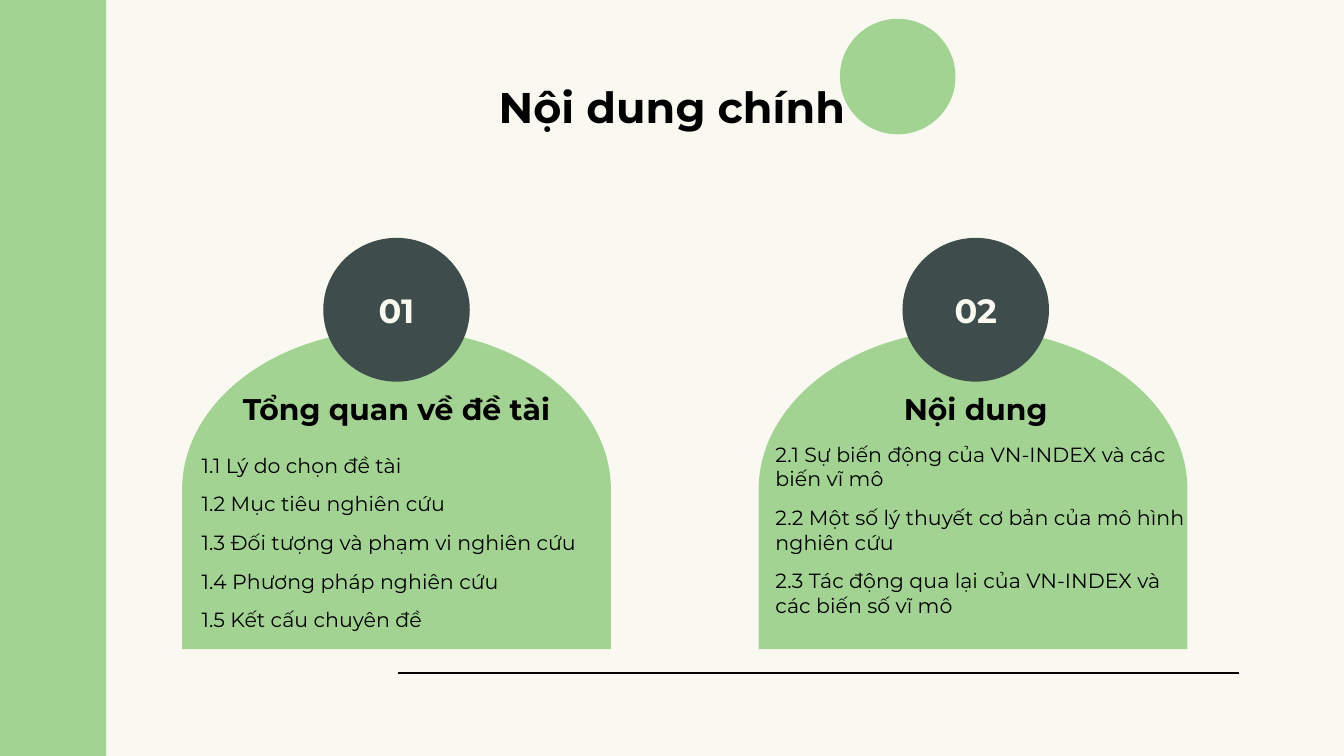
from lxml import etree
from pptx import Presentation, util as u
from pptx.dml.color import RGBColor
from pptx.enum import shapes, text
from pptx.oxml.ns import qn

# Content; list boxes are left, top, width, height
TITLE = "Nội dung chính"
CARDS = [
    {"num": "01", "head": "Tổng quan về đề tài", "box": (1.4, 3.45, 3.19, 1.17),
     "list": ["1.1 Lý do chọn đề tài", "1.2 Mục tiêu nghiên cứu",
              "1.3 Đối tượng và phạm vi nghiên cứu",
              "1.4 Phương pháp nghiên cứu", "1.5 Kết cấu chuyên đề"]},
    {"num": "02", "head": "Nội dung", "box": (5.67, 3.33, 3.28, 1.22),
     "list": ["2.1 Sự biến động của VN-INDEX và các biến vĩ mô",
              "2.2 Một số lý thuyết cơ bản của mô hình nghiên cứu",
              "2.3 Tác động qua lại của VN-INDEX và các biến số vĩ mô"]},
]
HEX = {"paper": "F9F9F1", "green": "A3D392", "slate": "3E4C4C", "ink": "000000"}
FONT = "Montserrat"
W = 10
H = W * 9 / 16
BAR = 0.79
MID = 2.95                       # centre of the first card
ARCH, LABEL = 4.29, 4.31         # steps from card to card
WIDE, TALL, BASE = 3.19, 2.38, 4.83
DISC = (1.09, 1.07)
KIND = shapes.MSO_SHAPE


def color(name):
    return RGBColor.from_string(HEX[name])


def place(item, box):
    item.left, item.top, item.width, item.height = map(u.Inches, box)


def write(item, lines, size, ink="ink", bold=False, align="CENTER", gap=0, lead=0.9):
    frame = item.text_frame
    frame.word_wrap = True
    frame.auto_size = text.MSO_AUTO_SIZE.NONE
    frame.vertical_anchor = text.MSO_ANCHOR.MIDDLE
    frame.margin_left = frame.margin_right = u.Inches(0.1)
    frame.margin_top = frame.margin_bottom = u.Inches(0.1)
    frame.text = "\n".join(lines)
    for para in frame.paragraphs:
        para.alignment = getattr(text.PP_ALIGN, align)
        para.line_spacing = lead
        para.space_before = u.Pt(gap)
        props = para._p.get_or_add_pPr()
        props.set("marL", "0")
        props.set("indent", "0")
        etree.SubElement(props, qn("a:buNone"))
        for run in para.runs:
            font = run.font
            font.name, font.size, font.bold = FONT, u.Pt(size), bold
            font.color.rgb = color(ink)


def shape(kind, box, fill, turn=0):
    item = slide.shapes.add_shape(kind, *map(u.Inches, box))
    item.shadow.inherit = False
    item.fill.solid()
    item.fill.fore_color.rgb = color(fill)
    item.line.fill.background()
    item.rotation = turn
    return item


deck = Presentation()
deck.slide_width, deck.slide_height = u.Inches(W), u.Inches(H)
slide = deck.slides.add_slide(deck.slide_layouts.get_by_name("Comparison"))
slide.background.fill.solid()
slide.background.fill.fore_color.rgb = color("paper")
title, *bodies = slide.placeholders
held = [title, *bodies]

# Side bar, base line and accent disc
shape(KIND.RECTANGLE, (0, 0, BAR, H), "green")
rule = slide.shapes.add_connector(shapes.MSO_CONNECTOR.STRAIGHT,
                                  *map(u.Inches, (2.96, 5.01, 9.22, 5.01)))
rule.line.color.rgb = color("ink")
rule.line.width = u.Pt(1)
etree.SubElement(rule._element.spPr, qn("a:effectLst"))
shape(KIND.OVAL, (6.25, 0.14, 0.86, 0.86), "green")

# Cards: arch, number disc, heading and list
for i, card in enumerate(CARDS):
    arch, mid = MID + i * ARCH, MID + i * LABEL
    shape(KIND.FLOWCHART_DELAY,
          (arch - TALL / 2, BASE - (TALL + WIDE) / 2, TALL, WIDE), "green", 270)
    disc = shape(KIND.OVAL, (mid - DISC[0] / 2, 1.77, *DISC), "slate")
    write(disc, [card["num"]], 18, ink="paper", bold=True, lead=1)
    head, body = bodies[2 * i:2 * i + 2]
    place(head, (mid - WIDE / 2, 2.84, WIDE, 0.43))
    write(head, [card["head"]], 16, bold=True, gap=7.5)
    place(body, card["box"])
    write(body, card["list"], 11, align="LEFT", gap=7.5, lead=1)

# Title, then bring all placeholders in front of the shapes
place(title, (BAR, 0.6, W - 2 * BAR, 0.43))
write(title, [TITLE], 23, bold=True)
for item in held:
    slide.shapes._spTree.append(item._element)

deck.save("out.pptx")
